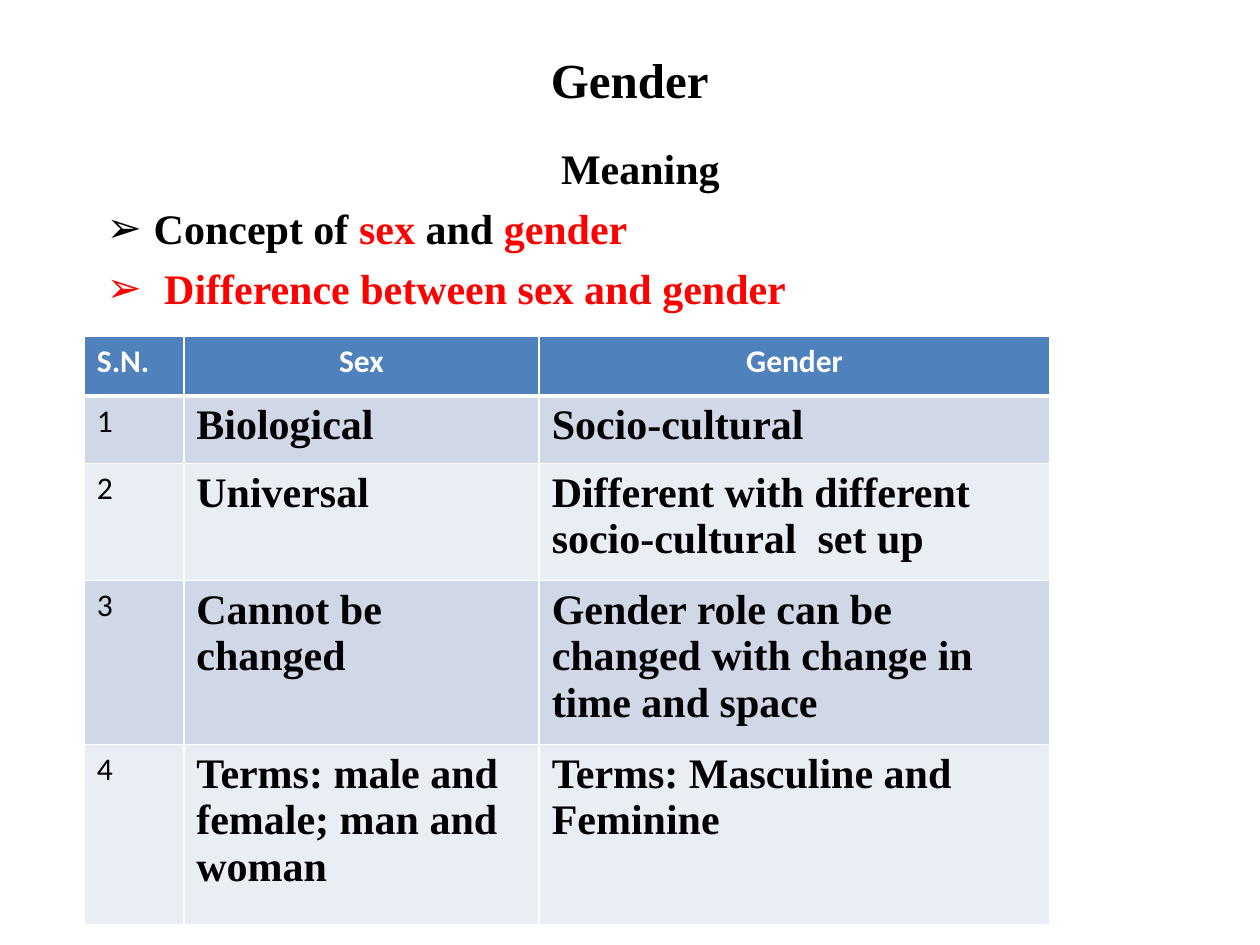
from lxml import etree
from pptx import Presentation
from pptx.dml.color import RGBColor
from pptx.enum.text import MSO_ANCHOR, PP_ALIGN
from pptx.oxml.ns import qn
from pptx.util import Cm, Pt

LEFT, CENTER = PP_ALIGN.LEFT, PP_ALIGN.CENTER
MIDDLE = MSO_ANCHOR.MIDDLE
TITLE_ONLY = 5
SERIF, SANS = "Times New Roman", "Calibri"
BLACK, WHITE, RED = "000000", "FFFFFF", "FF0000"
HEADER, BANDS = "4F81BD", ("D0D8E8", "E9EDF4")


def color(hex_text):
    return RGBColor.from_string(hex_text)


def add_text(para, text, size=24, font=SERIF, ink=BLACK, bold=True, align=None):
    """Append one formatted span to a paragraph."""
    span = para.add_run()
    span.text = text
    span.font.size, span.font.name, span.font.bold = Pt(size), font, bold
    span.font.color.rgb = color(ink)
    if align is not None:
        para.alignment = align


def add_bullet(para, indent):
    properties = para._p.get_or_add_pPr()
    properties.set("marL", str(indent))
    properties.set("indent", str(-indent))
    etree.SubElement(properties, qn("a:buFont"), typeface="Wingdings 2")
    properties[-1].set("typeface", "Arial")
    etree.SubElement(properties, qn("a:buChar"), char="➢")


def set_borders(cell, bottom):
    properties = cell._tc.get_or_add_tcPr()
    widths = {"a:lnL": 1, "a:lnR": 1, "a:lnT": 1, "a:lnB": bottom}
    for position, (side, width) in enumerate(widths.items()):
        line = etree.Element(qn(side), w=str(Pt(width)))
        fill = etree.SubElement(line, qn("a:solidFill"))
        etree.SubElement(fill, qn("a:srgbClr"), val=WHITE)
        properties.insert(position, line)


def place_title(page, left, top, width, height):
    title = page.shapes.title
    title.left, title.top, title.width, title.height = left, top, width, height
    title.text_frame.vertical_anchor = MIDDLE
    add_text(title.text_frame.paragraphs[0], "Gender", size=28, align=CENTER)


def place_outline(page, left, top, width, height):
    frame = page.shapes.add_textbox(left, top, width, height).text_frame
    frame.word_wrap = True
    lines = [
        [("Meaning", BLACK)],
        [("Concept of ", BLACK), ("sex ", RED), ("and ", BLACK), ("gender", RED)],
        [(" Difference between sex and gender", RED)],
    ]
    for number, spans in enumerate(lines):
        para = frame.add_paragraph() if number else frame.paragraphs[0]
        para.space_before = Pt(5.5)
        for text, ink in spans:
            add_text(para, text, ink=ink, align=LEFT if number else CENTER)
        if number:
            add_bullet(para, Cm(0.95))


def place_comparison(page, left, top, width, height):
    rows = [
        ("S.N.", "Sex", "Gender"),
        ("1", "Biological", "Socio-cultural"),
        ("2", "Universal", "Different with different socio-cultural  set up"),
        ("3", "Cannot be changed",
         "Gender role can be changed with change in time and space"),
        ("4", "Terms: male and female; man and woman",
         "Terms: Masculine and Feminine"),
    ]
    table = page.shapes.add_table(len(rows), 3, left, top, width, height).table
    # Column and row sizes as shares of the box
    for column, share in zip(table.columns, (0.103, 0.368, 0.529)):
        column.width = int(width * share)
    for row, share in zip(table.rows, (0.11, 0.125, 0.216, 0.216, 0.333)):
        row.height = int(height * share)

    for row_number, texts in enumerate(rows):
        is_header = row_number == 0
        for column_number, text in enumerate(texts):
            cell = table.cell(row_number, column_number)
            cell.fill.solid()
            fill = HEADER if is_header else BANDS[(row_number - 1) % 2]
            cell.fill.fore_color.rgb = color(fill)
            set_borders(cell, bottom=3 if is_header else 1)
            is_small = is_header or column_number == 0
            add_text(
                cell.text_frame.paragraphs[0], text,
                size=18 if is_small else 24,
                font=SANS if is_small else SERIF,
                ink=WHITE if is_header else BLACK,
                bold=is_header or column_number > 0,
                align=CENTER if is_header and column_number else LEFT,
            )


deck = Presentation()
deck.slide_width, deck.slide_height = Cm(25.4), Cm(19.05)
page = deck.slides.add_slide(deck.slide_layouts[TITLE_ONLY])
place_title(page, Cm(1.9), Cm(0.64), Cm(21.59), Cm(1.9))
place_outline(page, Cm(1.9), Cm(2.75), Cm(22.02), Cm(15.88))
place_comparison(page, Cm(1.7), Cm(6.78), Cm(19.47), Cm(10.92))
deck.save("out.pptx")
